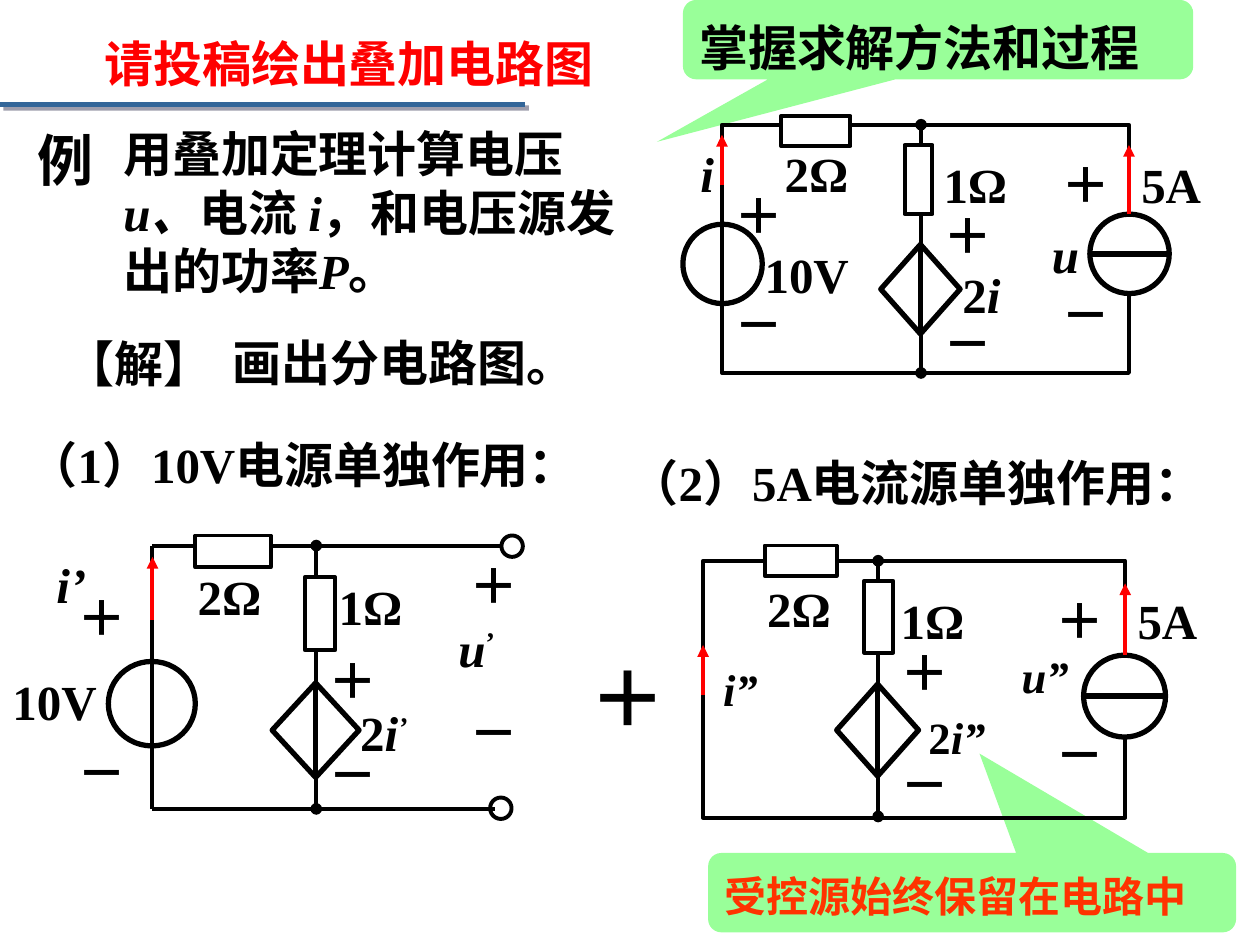
from lxml import etree
from pptx import Presentation
from pptx.dml.color import RGBColor
from pptx.enum import shapes, text
from pptx.oxml.ns import qn
from pptx.util import Inches, Pt

BLACK = RGBColor(0, 0, 0)
WHITE = RGBColor(255, 255, 255)
RED = RGBColor(255, 0, 0)
ORANGE = RGBColor(0xFF, 0x33, 0)
GREEN = RGBColor(0x99, 0xFF, 0x99)
BLUE = RGBColor(0x33, 0x66, 0x99)
SHADOW = "3E3E5C"
TIMES, SANS = "Times New Roman", "Noto Sans CJK SC"
THIN, THICK = 2.25, 3
LINE_FACTOR = 1.2

# Runs are (text, style); style letters: i italic, s superscript, c Chinese font
PASSAGES = [  # left, top, width, height, size, colour, runs
    (0.2, 0.92, 1.02, 0.63, 32, BLACK, [("例", "c")]),
    (0.88, 0.9, 4.18, 1.51, 28, BLACK,
     [("用叠加定理计算电压", ""), ("u、", "i"), ("电流 ", ""), ("i", "i"),
      ("，和电压源发出的功率", ""), ("P", "i"), ("。", "")]),
    (0.42, 2.57, 1.42, 0.57, 28, BLACK, [("【解】", "c")]),
    (1.75, 2.56, 3.23, 0.57, 28, BLACK, [("画出分电路图。", "c")]),
    (0.13, 3.37, 4.21, 0.57, 28, BLACK, [("（1）10V", ""), ("电源单独作用：", "c")]),
    (4.9, 3.51, 4.51, 0.57, 28, BLACK, [("（2）5A电流源单独作用", ""), ("：", "c")]),
    (0.73, 0.19, 4.29, 0.57, 28, RED, [("请投稿绘出叠加电路图", "c")]),
    (4.58, 5.08, 0.63, 0.83, 44, BLACK, [("＋", "")]),
]

CALLOUTS = [  # left, top, width, height, pointer, size, colour, words
    (5.62, 6.77, 4.19, 0.63, (0.014, -1.753), 24, ORANGE, "受控源始终保留在电路中"),
    (5.42, 0, 4.05, 0.63, (-0.551, 1.288), 28, BLACK, "掌握求解方法和过程"),
]

CIRCUITS = [
    {   # complete circuit
        "loop": (5.73, 0.99, 3.23, 1.97),
        "branch": (7.31, 0.99, 2.96),
        "voltage source": (5.42, 1.78, 0.63, 0.63),
        "resistors": [(7.18, 1.15, 0.22, 0.55), (6.2, 0.92, 0.55, 0.24)],
        "dependent source": (6.95, 1.98, 0.71, 0.63),
        "current source": (8.65, 1.7, 0.63, 0.63),
        "arrows": [(5.73, 1.47, 1.07), (8.96, 1.7, 1.15)],
        "plus": [(5.73, 1.39), (7.39, 1.55), (8.33, 1.15)],
        "minus": [(5.73, 2.26), (7.39, 2.41), (8.33, 2.18)],
        "labels": [(8.25, 1.7, 28, [("u", "i")]), (5.97, 1.86, 28, [("10V", "")]),
                   (7.54, 2.02, 28, [("2", ""), ("i", "i")]),
                   (7.39, 1.15, 28, [("1Ω", "")]), (5.46, 1.06, 28, [("i", "i")]),
                   (6.13, 1.06, 28, [("2Ω", "")]), (8.96, 1.15, 28, [("5A", "")])],
    },
    {   # voltage source alone, output left open
        "wires": [(1.21, 4.33, 3.97, 4.33), (1.21, 6.42, 3.93, 6.42), (1.21, 4.33, 1.21, 6.42)],
        "branch": (2.51, 4.33, 6.42),
        "voltage source": (0.86, 5.25, 0.69, 0.67),
        "resistors": [(2.42, 4.58, 0.24, 0.58), (1.55, 4.25, 0.6, 0.25)],
        "dependent source": (2.13, 5.45, 0.75, 0.69),
        "terminals": [(3.89, 6.33), (3.98, 4.25)],
        "arrows": [(1.21, 4.92, 4.42)],
        "plus": [(0.52, 4.58), (2.51, 5.08), (3.63, 4.33)],
        "minus": [(0.52, 5.81), (2.51, 5.83), (3.63, 5.5)],
        "labels": [(3.54, 4.83, 28, [("u", "i"), ("’", "s")]), (0, 5.25, 28, [("10V", "")]),
                   (2.76, 5.5, 28, [("2", ""), ("i", "i"), ("’", "is")]),
                   (2.59, 4.5, 28, [("1Ω", "")]), (1.47, 4.42, 28, [("2Ω", "")]),
                   (0.35, 4.32, 28, [("i’", "i")])],
    },
    {   # current source alone
        "loop": (5.58, 4.45, 3.35, 2.04),
        "branch": (6.97, 4.45, 6.48),
        "resistors": [(6.86, 4.61, 0.23, 0.57), (6.07, 4.33, 0.57, 0.24)],
        "dependent source": (6.6, 5.47, 0.73, 0.65),
        "current source": (8.6, 5.2, 0.65, 0.65),
        "arrows": [(5.58, 5.52, 5.12), (8.93, 5.2, 4.63)],
        "plus": [(7.05, 5.02), (8.28, 4.61)],
        "minus": [(7.05, 5.91), (8.28, 5.67)],
        "labels": [(5.64, 5.1, 44, [("i”", "is")]), (7.05, 4.61, 28, [("1Ω", "")]),
                   (5.99, 4.51, 28, [("2Ω", "")]), (8.93, 4.61, 28, [("5A", "")]),
                   (8.01, 5, 44, [("u”", "is")]),
                   (7.27, 5.48, 44, [("2", "s"), ("i”", "is")])],
    },
]

deck = Presentation()
deck.slide_width, deck.slide_height = Inches(10), Inches(7.5)
page = deck.slides.add_slide(deck.slide_layouts[6])


def write(frame, runs, size, colour, top_inset=0.08):
    frame.word_wrap = True
    frame.vertical_anchor = text.MSO_ANCHOR.TOP
    frame.margin_top = Inches(top_inset)
    para = frame.paragraphs[0]
    para.alignment = text.PP_ALIGN.LEFT
    para.line_spacing = Pt(size * LINE_FACTOR)
    for words, style in runs:
        span = para.add_run()
        span.text = words
        font = span.font
        font.size, font.bold, font.italic = Pt(size), True, "i" in style
        font.color.rgb = colour
        font.name = SANS if "c" in style else TIMES
        etree.SubElement(font._element, qn("a:ea")).set("typeface", SANS)
        if "s" in style:
            font._element.set("baseline", "30000")


def add_text(left, top, width, height, size, colour, runs):
    box = page.shapes.add_textbox(*map(Inches, (left, top, width, height)))
    write(box.text_frame, runs, size, colour)


def add_part(kind, place, fill=None, width=THIN):
    part = page.shapes.add_shape(kind, *map(Inches, place))
    part.shadow.inherit = False
    if fill is None:
        part.fill.background()
    else:
        part.fill.solid()
        part.fill.fore_color.rgb = fill
    if width:
        part.line.width = Pt(width)
        part.line.color.rgb = BLACK
    else:
        part.line.fill.background()
    return part


def add_wire(x1, y1, x2, y2, colour=BLACK, width=THIN, head=None, tail=None):
    """Draw a line and return its effect list, which is left empty."""
    wire = page.shapes.add_connector(
        shapes.MSO_CONNECTOR.STRAIGHT, *map(Inches, (x1, y1, x2, y2)))
    wire.line.color.rgb = colour
    wire.line.width = Pt(width)
    for tag, end in (("a:headEnd", head), ("a:tailEnd", tail)):
        if end:
            etree.SubElement(wire.line._get_or_add_ln(), qn(tag)).set("type", end)
    return etree.SubElement(wire._element.spPr, qn("a:effectLst"))


def add_circuit(circuit):
    shape = shapes.MSO_SHAPE
    if "loop" in circuit:
        add_part(shape.RECTANGLE, circuit["loop"])
    for ends in circuit.get("wires", []):
        add_wire(*ends)
    x, top, bottom = circuit["branch"]
    add_wire(x, top, x, bottom, head="oval", tail="oval")
    if "voltage source" in circuit:
        add_part(shape.OVAL, circuit["voltage source"], width=THICK)
    for place in circuit["resistors"]:
        add_part(shape.RECTANGLE, place, WHITE)
    add_part(shape.FLOWCHART_SORT, circuit["dependent source"], WHITE, THICK).rotation = 90
    for left, top in circuit.get("terminals", []):
        add_part(shape.OVAL, (left, top, 0.17, 0.17))
    if "current source" in circuit:
        left, top, width, height = circuit["current source"]
        add_part(shape.OVAL, (left, top, width, height), WHITE, THICK)
        middle = top + height / 2
        add_wire(left, middle, left + width, middle, width=THICK)
    for x, start, end in circuit["arrows"]:
        add_wire(x, start, x, end, RED, tail="triangle")
    for name, sign in (("plus", "＋"), ("minus", "－")):
        for left, top in circuit[name]:
            add_text(left, top, 0.65, 0.57, 28, BLACK, [(sign, "")])
    for left, top, size, runs in circuit["labels"]:
        add_text(left, top, 1, 0.57 if size == 28 else 0.84, size, BLACK, runs)


def add_callout(left, top, width, height, pointer, size, colour, words):
    callout = add_part(shapes.MSO_SHAPE.ROUNDED_RECTANGULAR_CALLOUT,
                       (left, top, width, height), GREEN, width=0)
    callout.adjustments[0], callout.adjustments[1] = pointer
    write(callout.text_frame, [(words, "c")], size, colour, top_inset=0.11)


effects = add_wire(0, 0.83, 4.17, 0.83, BLUE, THICK)
shadow = etree.SubElement(effects, qn("a:outerShdw"), dist=str(Pt(2.8)), dir="2700000")
tint = etree.SubElement(shadow, qn("a:srgbClr"), val=SHADOW)
etree.SubElement(tint, qn("a:alpha"), val="50000")

for callout in CALLOUTS:
    add_callout(*callout)
for circuit in CIRCUITS:
    add_circuit(circuit)
for passage in PASSAGES:
    add_text(*passage)

deck.save("out.pptx")
